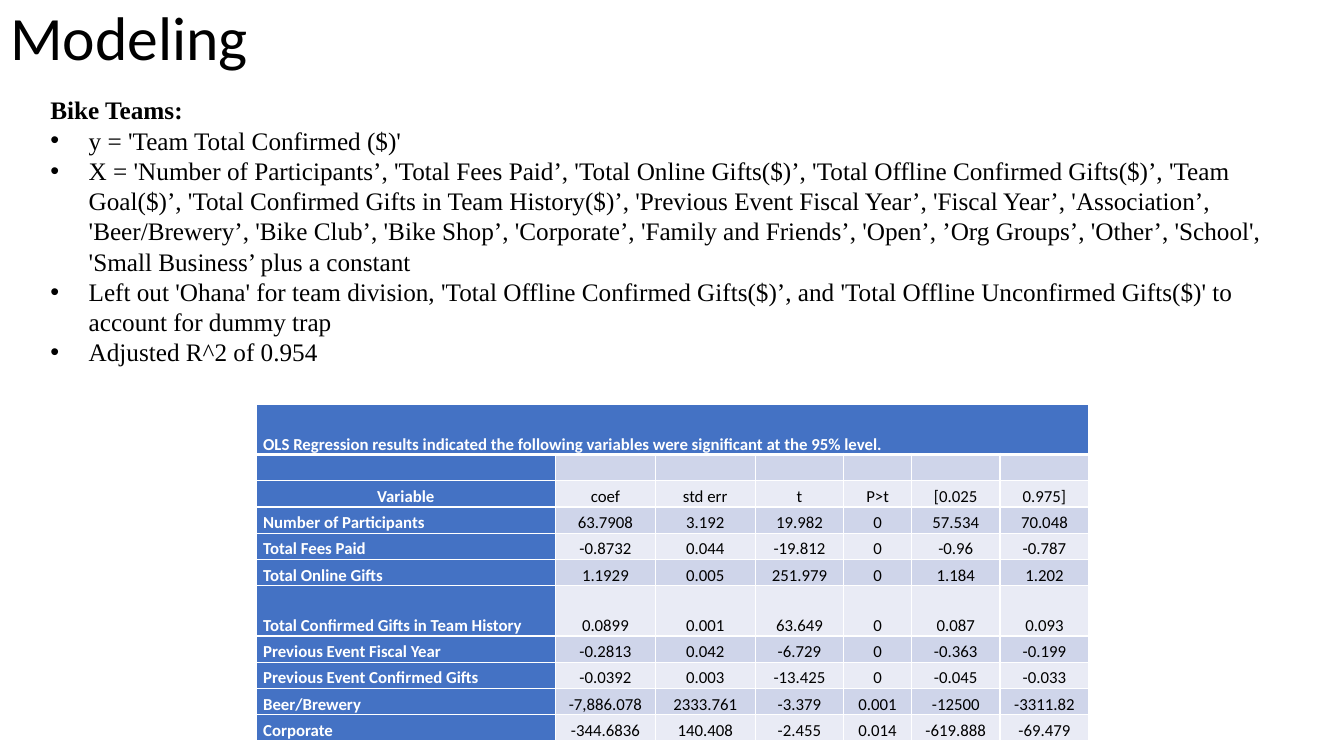
from lxml.etree import SubElement
from pptx import Presentation
from pptx.dml.color import RGBColor
from pptx.enum.text import MSO_ANCHOR, MSO_AUTO_SIZE, PP_ALIGN
from pptx.oxml.ns import qn
from pptx.util import Emu, Pt

SCALE = 9144  # EMU in one px, 100 px to the inch
BLACK, WHITE, BLUE = "000000", "FFFFFF", "4472C4"
BANDS = ("CFD5EA", "E9EBF5")

TITLE_BOX = (0, 0, 1369, 81)
BODY_BOX = (40, 89, 1271, 283)
TABLE_BOX = (254, 401, 826, 334)

BULLETS = [
    "y = 'Team Total Confirmed ($)'",
    "X = 'Number of Participants’, 'Total Fees Paid’, 'Total Online Gifts($)’, "
    "'Total Offline Confirmed Gifts($)’, 'Team Goal($)’, "
    "'Total Confirmed Gifts in Team History($)’, 'Previous Event Fiscal Year’, "
    "'Fiscal Year’, 'Association’, 'Beer/Brewery’, 'Bike Club’, 'Bike Shop’, "
    "'Corporate’, 'Family and Friends’, 'Open’, ’Org Groups’, 'Other’, 'School', "
    "'Small Business’ plus a constant",
    "Left out 'Ohana' for team division, 'Total Offline Confirmed Gifts($)’, and "
    "'Total Offline Unconfirmed Gifts($)' to account for dummy trap",
    "Adjusted R^2 of 0.954",
]
CAPTION = ("OLS Regression results indicated the following variables "
           "were significant at the 95% level.")
COLUMNS = [297, 99, 99, 88, 67, 88, 88]
ROW_HEIGHT, TALL_HEIGHT = 26, 50
TALL_ROWS = (0, 6)
RESULTS = [
    [""] * 7,
    ["Variable", "coef", "std err", "t", "P>t", "[0.025", "0.975]"],
    ["Number of Participants", "63.7908", "3.192", "19.982", "0", "57.534", "70.048"],
    ["Total Fees Paid", "-0.8732", "0.044", "-19.812", "0", "-0.96", "-0.787"],
    ["Total Online Gifts", "1.1929", "0.005", "251.979", "0", "1.184", "1.202"],
    ["Total Confirmed Gifts in Team History", "0.0899", "0.001", "63.649", "0",
     "0.087", "0.093"],
    ["Previous Event Fiscal Year", "-0.2813", "0.042", "-6.729", "0", "-0.363", "-0.199"],
    ["Previous Event Confirmed Gifts", "-0.0392", "0.003", "-13.425", "0",
     "-0.045", "-0.033"],
    ["Beer/Brewery", "-7,886.078", "2333.761", "-3.379", "0.001", "-12500", "-3311.82"],
    ["Corporate", "-344.6836", "140.408", "-2.455", "0.014", "-619.888", "-69.479"],
]


def px(length):
    return Emu(length * SCALE)


def colour(value):
    return RGBColor.from_string(value)


def assign(target, values):
    for name, value in values.items():
        setattr(target, name, value)


def place(shape, box):
    assign(shape, dict(zip(("left", "top", "width", "height"), map(px, box))))


def write(para, text, font, size, tint, bold=False, **layout):
    span = para.add_run()
    span.text = text
    assign(span.font, {"name": font, "size": Pt(size), "bold": bold})
    span.font.color.rgb = colour(tint)
    assign(para, layout)


def add_title(page, box):
    title = page.shapes.title
    place(title, box)
    assign(title.text_frame, {"vertical_anchor": MSO_ANCHOR.MIDDLE, "word_wrap": True,
                              "auto_size": MSO_AUTO_SIZE.NONE})
    write(title.text_frame.paragraphs[0], "Modeling", "Calibri", 44, BLACK,
          alignment=PP_ALIGN.LEFT, line_spacing=0.9)


def set_bullet(para, mark):
    properties = para._p.get_or_add_pPr()
    indent = px(38) if mark else 0
    properties.set("marL", str(indent))
    properties.set("indent", str(-indent))
    if mark:
        SubElement(properties, qn("a:buFont")).set("typeface", "Arial")
        SubElement(properties, qn("a:buChar")).set("char", mark)
    else:
        SubElement(properties, qn("a:buNone"))


def add_body(page, box):
    body = page.placeholders[1]
    place(body, box)
    frame = body.text_frame
    assign(frame, {"vertical_anchor": MSO_ANCHOR.TOP, "word_wrap": True,
                   "auto_size": MSO_AUTO_SIZE.SHAPE_TO_FIT_TEXT})
    for index, text in enumerate(["Bike Teams:"] + BULLETS):
        para = frame.paragraphs[0] if index == 0 else frame.add_paragraph()
        set_bullet(para, "•" if index else None)
        write(para, text, "Times New Roman", 18, BLACK, bold=index == 0,
              alignment=PP_ALIGN.LEFT, space_before=Pt(0), line_spacing=Pt(21.6))


def style_cell(cell, fill, top=1, bottom=1):
    assign(cell, {"margin_left": px(7), "margin_right": px(7), "margin_top": 0,
                  "margin_bottom": 0, "vertical_anchor": MSO_ANCHOR.BOTTOM})
    properties = cell._tc.get_or_add_tcPr()
    for side, width in (("L", 1), ("R", 1), ("T", top), ("B", bottom)):
        line = SubElement(properties, qn(f"a:ln{side}"), w=str(Pt(width)))
        paint = SubElement(line, qn("a:solidFill"))
        SubElement(paint, qn("a:srgbClr"), val=WHITE)
    cell.fill.solid()
    cell.fill.fore_color.rgb = colour(fill)


def write_cell(cell, text, tint, bold, alignment):
    para = cell.text_frame.paragraphs[0]
    if text:
        write(para, text, "Calibri", 12, tint, bold, alignment=alignment, line_spacing=1.07)
    else:  # keeps the empty row low
        SubElement(para._p, qn("a:endParaRPr"), sz="1200")


def add_results(page, box):
    table = page.shapes.add_table(len(RESULTS) + 1, len(COLUMNS), *map(px, box)).table
    assign(table, {"first_row": False, "horz_banding": False})
    for column, width in zip(table.columns, COLUMNS):
        column.width = px(width)
    for number, row in enumerate(table.rows):
        row.height = px(TALL_HEIGHT if number in TALL_ROWS else ROW_HEIGHT)

    # Caption across all columns
    for cell in table.rows[0].cells:
        style_cell(cell, BLUE, bottom=3)
    table.cell(0, 0).merge(table.cell(0, len(COLUMNS) - 1))
    write_cell(table.cell(0, 0), CAPTION, WHITE, True, PP_ALIGN.LEFT)

    # Variable names and banded figures
    for number, values in enumerate(RESULTS, start=1):
        for place_in_row, text in enumerate(values):
            cell = table.cell(number, place_in_row)
            is_name = place_in_row == 0
            style_cell(cell, BLUE if is_name else BANDS[(number - 1) % 2],
                       top=3 if number == 1 else 1)
            left = is_name and text != "Variable"
            write_cell(cell, text, WHITE if is_name else BLACK, is_name,
                       PP_ALIGN.LEFT if left else PP_ALIGN.CENTER)


def main():
    deck = Presentation()
    assign(deck, {"slide_width": px(1333), "slide_height": px(750)})
    page = deck.slides.add_slide(deck.slide_layouts[1])
    add_title(page, TITLE_BOX)
    add_body(page, BODY_BOX)
    add_results(page, TABLE_BOX)
    deck.save("out.pptx")


if __name__ == "__main__":
    main()
